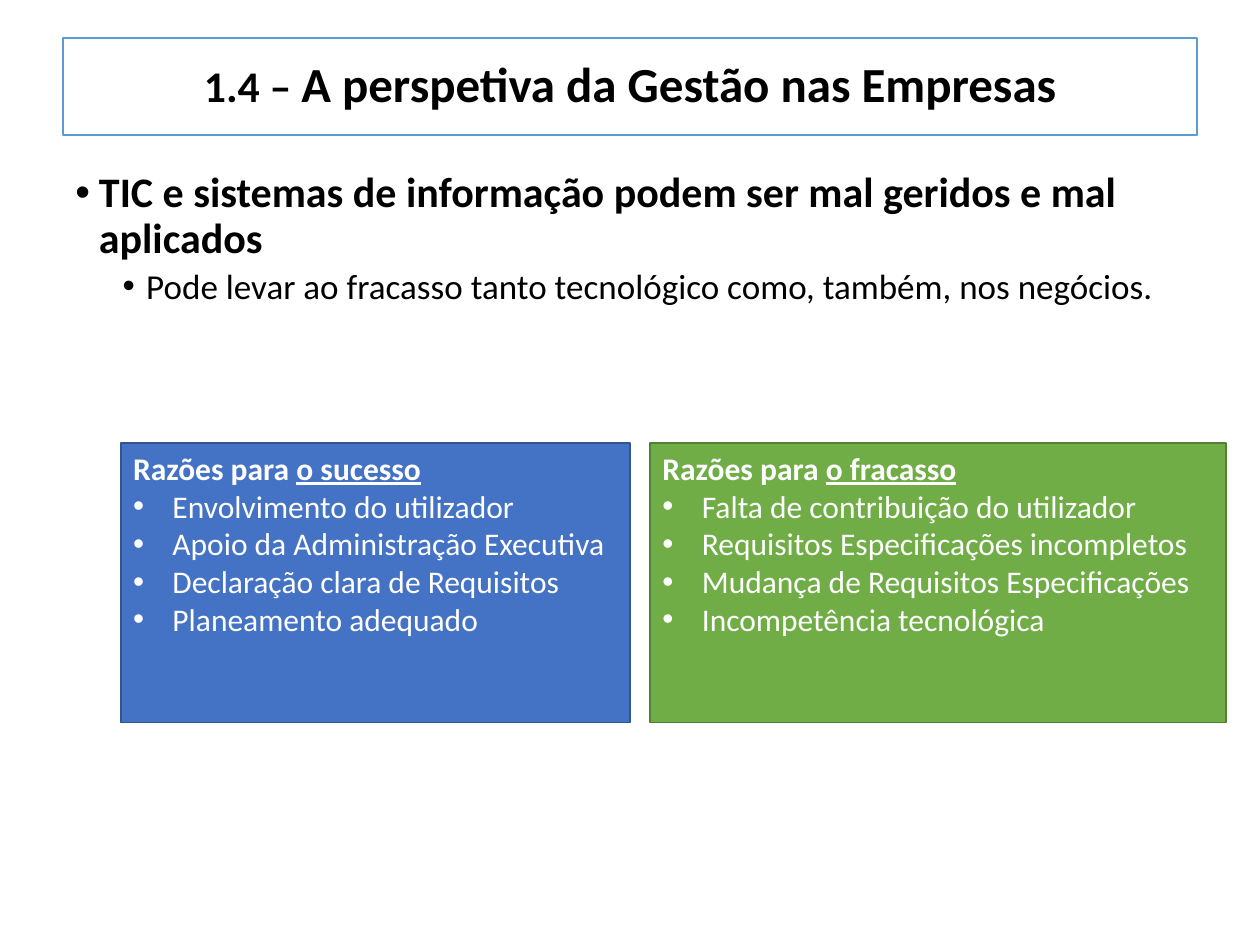
import pptx
import pptx.util
import pptx.dml.color
import pptx.enum.shapes
import pptx.enum.text
import pptx.oxml.ns
from lxml import etree

Pt = pptx.util.Pt
RGBColor = pptx.dml.color.RGBColor
ALIGN = pptx.enum.text.PP_ALIGN
ANCHOR = pptx.enum.text.MSO_ANCHOR

BLACK = RGBColor(0x00, 0x00, 0x00)
WHITE = RGBColor(0xFF, 0xFF, 0xFF)
TITLE_LINE = RGBColor(0x5B, 0x9B, 0xD5)
BLUE = RGBColor(0x44, 0x72, 0xC4)
BLUE_LINE = RGBColor(0x32, 0x54, 0x91)
GREEN = RGBColor(0x70, 0xAD, 0x47)
GREEN_LINE = RGBColor(0x53, 0x80, 0x35)

SUCCESS_REASONS = [
    "Envolvimento do utilizador",
    "Apoio da Administração Executiva",
    "Declaração clara de Requisitos",
    "Planeamento adequado",
]
FAILURE_REASONS = [
    "Falta de contribuição do utilizador",
    "Requisitos Especificações incompletos",
    "Mudança de Requisitos Especificações",
    "Incompetência tecnológica",
]


def add_span(para, text, size, color, bold=False, underline=False):
    span = para.add_run()
    span.text = text
    span.font.name = "Calibri"
    span.font.size = Pt(size)
    span.font.color.rgb = color
    span.font.bold = bold
    span.font.underline = underline


def set_bullet(para, margin, hanging):
    """Give the paragraph a round bullet; both lengths are in points."""
    properties = para._p.get_or_add_pPr()
    properties.set("marL", str(Pt(margin)))
    properties.set("indent", str(-Pt(hanging)))
    font = etree.SubElement(properties, pptx.oxml.ns.qn("a:buFont"))
    font.set("typeface", "Arial")
    bullet = etree.SubElement(properties, pptx.oxml.ns.qn("a:buChar"))
    bullet.set("char", "•")


def add_rectangle(page, box, fill, line, anchor):
    shape = page.shapes.add_shape(
        pptx.enum.shapes.MSO_SHAPE.RECTANGLE, *map(Pt, box))
    shape.shadow.inherit = False
    shape.fill.solid()
    shape.fill.fore_color.rgb = fill
    shape.line.color.rgb = line
    shape.line.width = Pt(1)
    shape.text_frame.word_wrap = True
    shape.text_frame.vertical_anchor = anchor
    return shape.text_frame


def add_title(page, box):
    frame = add_rectangle(page, box, WHITE, TITLE_LINE, ANCHOR.MIDDLE)
    para = frame.paragraphs[0]
    para.alignment = ALIGN.CENTER
    para.line_spacing = 0.9
    add_span(para, "1.4 – ", 25, BLACK, bold=True)
    add_span(para, "A perspetiva da Gestão nas Empresas", 28, BLACK, bold=True)


def add_body(page, box):
    frame = page.shapes.add_textbox(*map(Pt, box)).text_frame
    frame.word_wrap = True
    point = frame.paragraphs[0]
    detail = frame.add_paragraph()
    detail.level = 1
    for para, space, margin in ((point, 7.5, 13.5), (detail, 3.8, 40.5)):
        para.line_spacing = 0.9
        para.space_before = Pt(space)
        set_bullet(para, margin, 13.5)
    add_span(point, "TIC e sistemas de informação podem ser mal geridos e mal "
             "aplicados", 24, BLACK, bold=True)
    add_span(detail, "Pode levar ao fracasso tanto tecnológico como, também, "
             "nos negócios.", 20, BLACK)


def add_reasons(page, box, outcome, reasons, fill, line):
    frame = add_rectangle(page, box, fill, line, ANCHOR.TOP)
    heading = frame.paragraphs[0]
    heading.alignment = ALIGN.LEFT
    add_span(heading, "Razões para ", 18, WHITE, bold=True)
    add_span(heading, outcome, 18, WHITE, bold=True, underline=True)
    for reason in reasons:
        para = frame.add_paragraph()
        para.alignment = ALIGN.JUSTIFY
        set_bullet(para, 22.5, 22.5)
        add_span(para, reason, 18, WHITE)


def main():
    deck = pptx.Presentation()
    deck.slide_width = Pt(720)
    deck.slide_height = Pt(540)
    page = deck.slides.add_slide(deck.slide_layouts[6])
    add_body(page, (36, 94.5, 648, 392.5))
    add_title(page, (36, 21.6, 648, 55.5))
    add_reasons(page, (69, 253, 291, 160), "o sucesso", SUCCESS_REASONS,
                BLUE, BLUE_LINE)
    add_reasons(page, (371.5, 253, 329, 160), "o fracasso", FAILURE_REASONS,
                GREEN, GREEN_LINE)
    deck.save("out.pptx")


if __name__ == "__main__":
    main()
